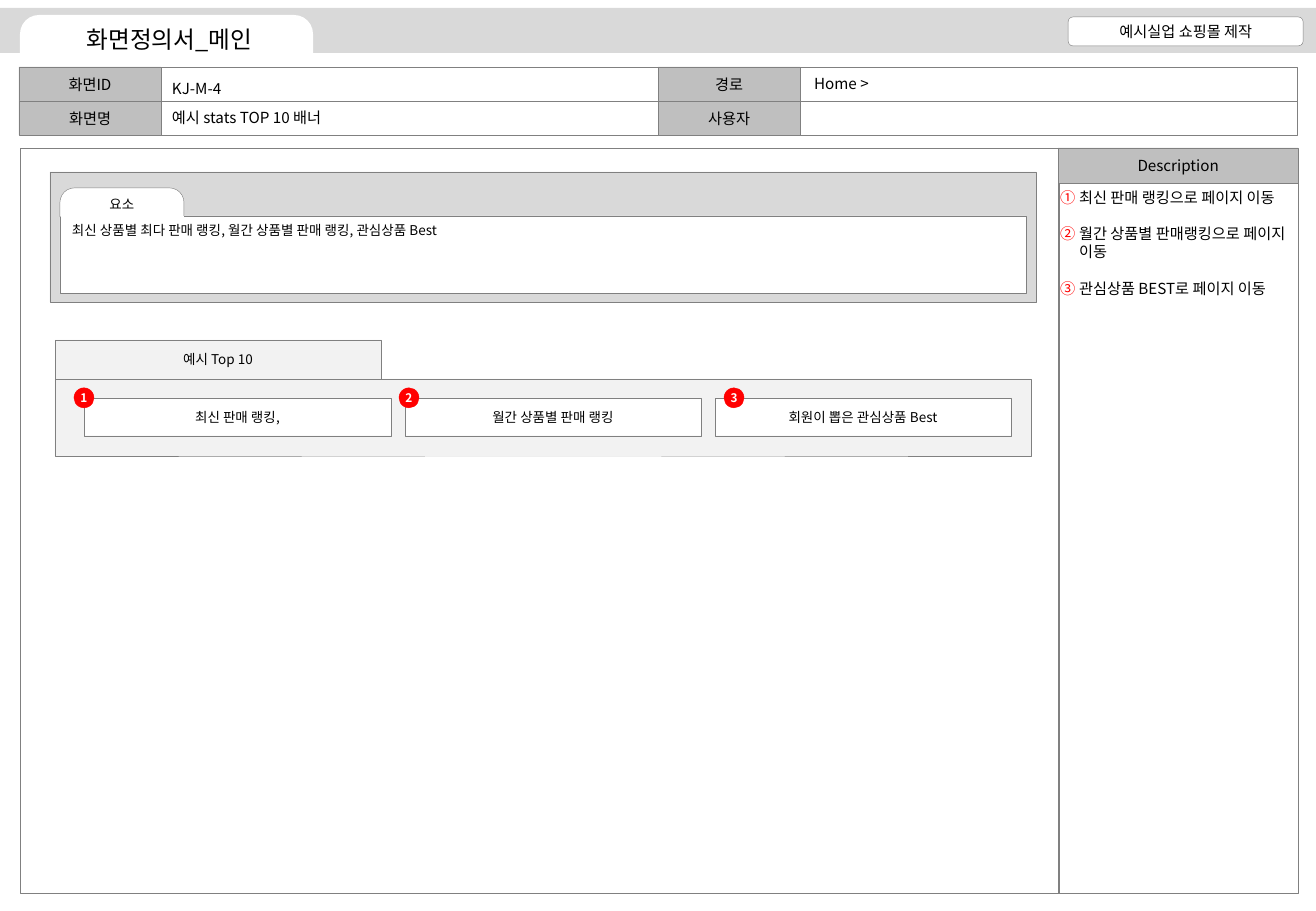
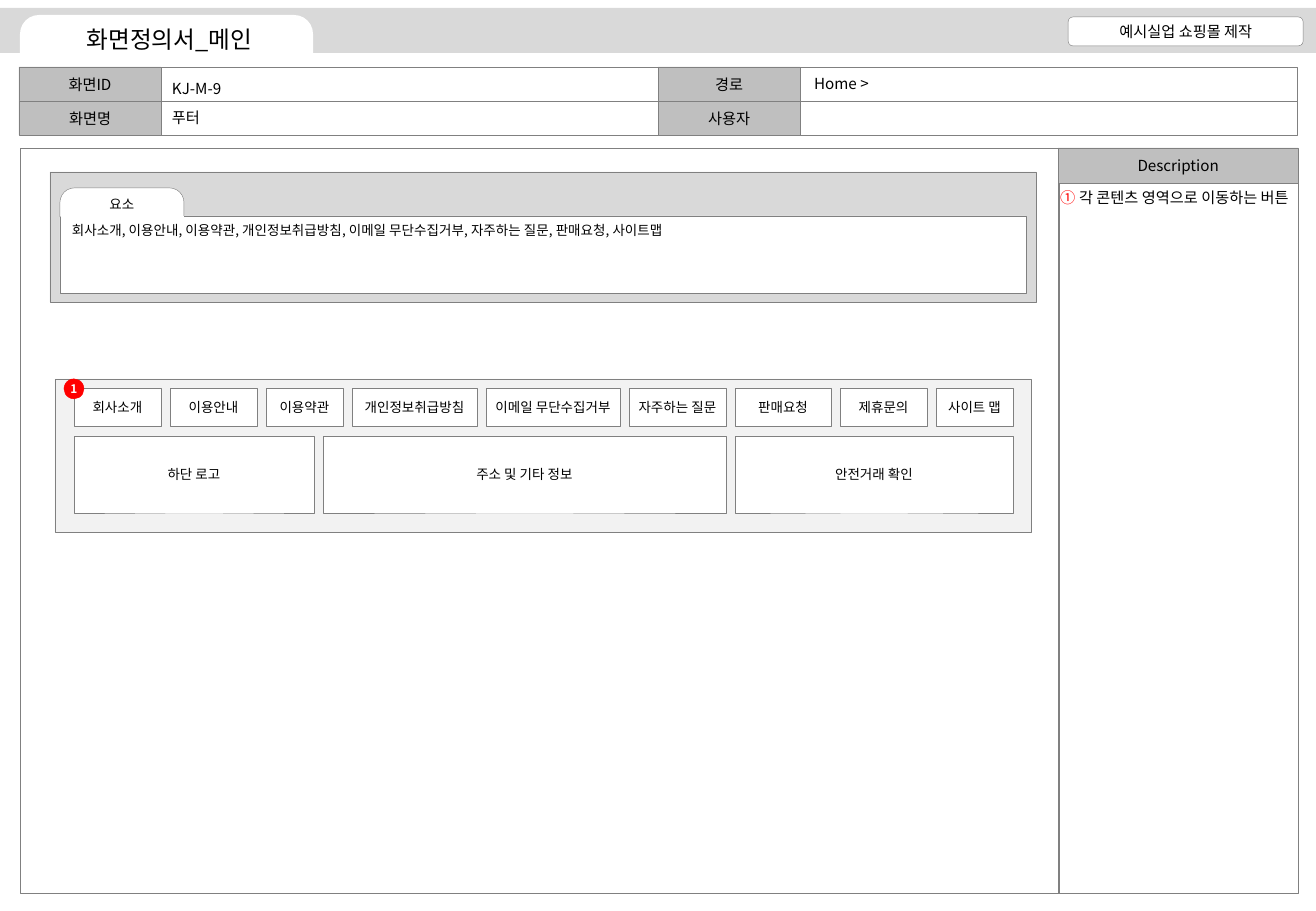
from lxml.etree import SubElement
from pptx import Presentation
from pptx.dml.color import RGBColor
from pptx.enum.shapes import MSO_CONNECTOR, MSO_SHAPE
from pptx.enum.text import MSO_ANCHOR, PP_ALIGN
from pptx.oxml.ns import qn
from pptx.util import Inches, Pt

SCALE = 914400 / 121.5
FONT = "Noto Sans CJK KR"
COLORS = {
    "ink": "000000", "paper": "FFFFFF", "rule": "808080", "label": "BFBFBF",
    "band": "D9D9D9", "panel": "F2F2F2", "mark": "FF0000",
}


def emu(pixels):
    """Turn pixels into EMU."""
    return round(pixels * SCALE)


def color(name):
    """Look up a named colour."""
    return RGBColor.from_string(COLORS[name])


class Wireframe:
    """Screen specification deck: shared style and the current page."""

    def __init__(self):
        """Open an empty deck."""
        self.deck = Presentation()
        self.deck.slide_width = Inches(10.83)
        self.deck.slide_height = Inches(7.5)
        self.page = None

    def style(self, para, text, size, ink="ink", bold=False, align=PP_ALIGN.LEFT):
        """Fill a paragraph and set its font for Latin and Korean text."""
        para.text = text
        para.alignment = align
        para.line_spacing = Pt(round(size * 1.2, 1))
        para.font.name = FONT
        para.font.size = Pt(size)
        para.font.bold = bold
        para.font.color.rgb = color(ink)
        defaults = para._p.pPr.find(qn("a:defRPr"))
        SubElement(defaults, qn("a:ea")).set("typeface", FONT)

    def box(self, x, y, width, height, fill=None, line="rule", text="", size=9,
            kind=MSO_SHAPE.RECTANGLE, inset=None, ink="ink", bold=False,
            align=PP_ALIGN.CENTER, anchor=MSO_ANCHOR.MIDDLE):
        """Draw a preset shape, with text if any."""
        shape = self.page.shapes.add_shape(
            kind, emu(x), emu(y), emu(width), emu(height))
        shape.shadow.inherit = False
        if fill:
            shape.fill.solid()
            shape.fill.fore_color.rgb = color(fill)
        else:
            shape.fill.background()
        if line:
            shape.line.color.rgb = color(line)
            shape.line.width = Pt(0.25)
        else:
            shape.line.fill.background()
        if text:
            frame = shape.text_frame
            frame.word_wrap = True
            frame.vertical_anchor = anchor
            if inset is not None:
                self.set_insets(frame, inset)
            self.style(frame.paragraphs[0], text, size, ink, bold, align)
        return shape

    def set_insets(self, frame, inset):
        """Give all four sides of a text frame one inset."""
        frame.margin_left = frame.margin_right = emu(inset)
        frame.margin_top = frame.margin_bottom = emu(inset)

    def tab(self, x, y, width, height, line=None, text=""):
        """Draw a white tab with fully rounded top corners."""
        shape = self.box(x, y, width, height, "paper", line, text, 8,
                         MSO_SHAPE.ROUND_2_SAME_RECTANGLE)
        shape.adjustments[0] = 0.5
        shape.adjustments[1] = 0

    def line(self, x1, y1, x2, y2, ink, width):
        """Draw a straight line without shadow."""
        line = self.page.shapes.add_connector(
            MSO_CONNECTOR.STRAIGHT, emu(x1), emu(y1), emu(x2), emu(y2))
        line.line.color.rgb = color(ink)
        line.line.width = Pt(width)
        SubElement(line._element.spPr, qn("a:effectLst"))

    def value(self, x, y, width, text):
        """Write one header value on a single line."""
        box = self.page.shapes.add_textbox(emu(x), emu(y), emu(width), emu(30))
        box.text_frame.word_wrap = False
        self.style(box.text_frame.paragraphs[0], text, 9)

    def button(self, x, y, width, height, text):
        """Draw a white button of the mock-up."""
        self.box(x, y, width, height, "paper", text=text, size=8, inset=0)

    def button_row(self, x, y, height, gap, buttons):
        """Lay buttons, given as (text, width), from left to right."""
        for text, width in buttons:
            self.button(x, y, width, height, text)
            x += width + gap

    def badge(self, x, y, number):
        """Draw a red number badge."""
        self.box(x, y, 20, 20, "mark", "mark", str(number), 7,
                 MSO_SHAPE.OVAL, 0, "paper", True)

    def description(self, items):
        """List the numbered notes in the right column."""
        box = self.page.shapes.add_textbox(emu(1060), emu(188), emu(239), emu(708))
        frame = box.text_frame
        frame.word_wrap = True
        self.set_insets(frame, 0)
        for index, item in enumerate(items):
            para = frame.add_paragraph() if index else frame.paragraphs[0]
            self.style(para, item, 9)
            if index:
                para.space_before = Pt(10.8)
            props = para._p.pPr
            props.set("marL", str(emu(19)))
            props.set("indent", str(-emu(19)))
            bullet_color = SubElement(props, qn("a:buClr"))
            SubElement(bullet_color, qn("a:srgbClr")).set("val", COLORS["mark"])
            bullet = SubElement(props, qn("a:buAutoNum"))
            bullet.set("type", "circleNumDbPlain")
            props.append(props.find(qn("a:defRPr")))

    def frame(self):
        """Draw the title band, header grid and columns of every page."""
        rows = (("화면ID", "경로"), ("화면명", "사용자"))
        for row, labels in enumerate(rows):
            for column, label in enumerate(labels):
                x, y = 19 + 639 * column, 67 + 34 * row
                self.box(x, y, 142, 34, "label", text=label)
                self.box(x + 142, y, 497, 34)
        self.box(20, 148, 1039, 746)
        self.box(1058, 148, 240, 35, "label", text="Description")
        self.box(1058, 183, 240, 711)
        self.box(0, 8, 1316, 45, "band", None)
        self.tab(20, 15, 293, 38)
        self.box(1068, 17, 235, 29, "paper", text="예시실업 쇼핑몰 제작",
                 kind=MSO_SHAPE.ROUNDED_RECTANGLE)
        self.box(36, 25, 267, 29, "paper", None, "화면정의서_메인", 14,
                 MSO_SHAPE.ROUNDED_RECTANGLE)

    def elements(self, text):
        """Draw the panel that names the parts of the screen."""
        self.box(50, 172, 986, 130, "band")
        self.box(60, 216, 966, 77, "paper", text=text, size=8,
                 align=PP_ALIGN.LEFT, anchor=MSO_ANCHOR.TOP)
        self.tab(60, 188, 124, 29, "rule", "요소")
        self.line(184, 217, 61, 217, "paper", 0.75)

    def start(self, code, name, name_width, elements, notes):
        """Add a page with its header values, element list and notes."""
        self.page = self.deck.slides.add_slide(self.deck.slide_layouts[6])
        self.frame()
        self.elements(elements)
        self.description(notes)
        self.value(160, 102, name_width, name)
        self.value(802, 68, 87, "Home >")
        self.value(160, 73, 74, code)


def add_banner(wireframe):
    """Page for the top ten banner."""
    wireframe.start(
        "KJ-M-4", "예시 stats TOP 10 배너", 185,
        "최신 상품별 최다 판매 랭킹, 월간 상품별 판매 랭킹, 관심상품 Best",
        ["최신 판매 랭킹으로 페이지 이동", "월간 상품별 판매랭킹으로 페이지 이동",
         "관심상품 BEST로 페이지 이동"])
    wireframe.box(55, 379, 976, 77, "panel")
    wireframe.box(55, 340, 326, 39, "panel", text="예시 Top 10", size=8)
    wireframe.button_row(84, 398, 38, 14, [
        ("최신 판매 랭킹,", 307), ("월간 상품별 판매 랭킹", 296),
        ("회원이 뽑은 관심상품 Best", 296)])
    for index in range(3):
        wireframe.badge(74 + 325 * index, 388, index + 1)


def add_footer(wireframe):
    """Page for the site footer."""
    wireframe.start(
        "KJ-M-9", "푸터", 55,
        "회사소개, 이용안내, 이용약관, 개인정보취급방침, 이메일 무단수집거부, "
        "자주하는 질문, 판매요청, 사이트맵",
        ["각 콘텐츠 영역으로 이동하는 버튼"])
    wireframe.box(55, 379, 976, 153, "panel")
    wireframe.button_row(74, 388, 38, 9, [
        ("회사소개", 87), ("이용안내", 87), ("이용약관", 77),
        ("개인정보취급방침", 125), ("이메일 무단수집거부", 134),
        ("자주하는 질문", 97), ("판매요청", 96), ("제휴문의", 87),
        ("사이트 맵", 77)])
    wireframe.button_row(74, 436, 77, 9, [
        ("하단 로고", 240), ("주소 및 기타 정보", 403), ("안전거래 확인", 278)])
    wireframe.badge(64, 379, 1)


wireframe = Wireframe()
add_banner(wireframe)
add_footer(wireframe)
wireframe.deck.save("out.pptx")
